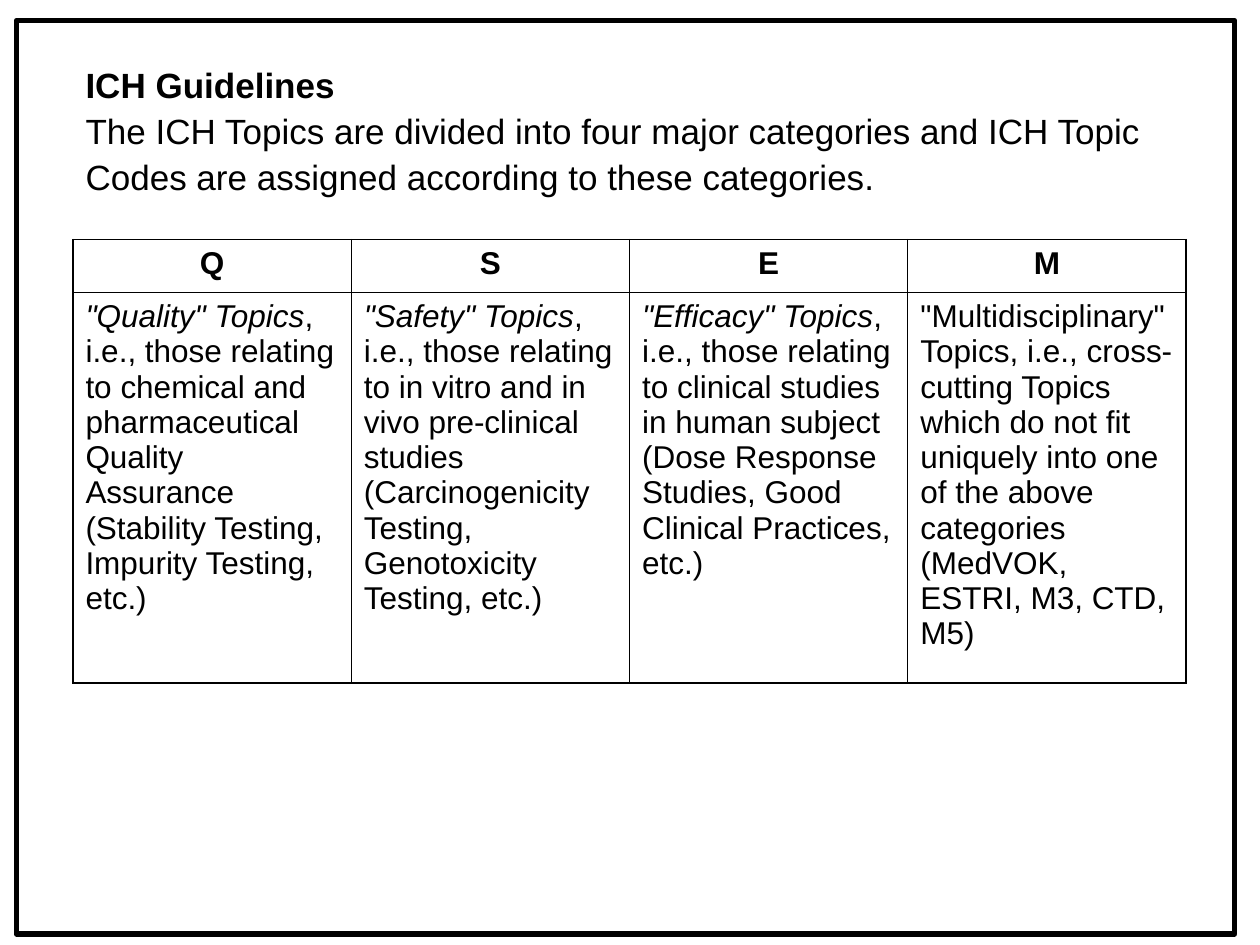
"""Build the ICH Guidelines slide with its table of topic categories."""
from dataclasses import dataclass

import pptx
import pptx.dml.color
import pptx.enum.shapes
import pptx.enum.text
import pptx.oxml
import pptx.oxml.ns
import pptx.util

Cm = pptx.util.Cm
Pt = pptx.util.Pt
ALIGN = pptx.enum.text.PP_ALIGN

BLACK = pptx.dml.color.RGBColor(0x00, 0x00, 0x00)
OUTER, INNER = Pt(1.08), Pt(0.45)
HEADING = {"name": "Arial", "size": Pt(20), "bold": True, "italic": False}
INTRO = HEADING | {"bold": False}
CODE = HEADING | {"size": Pt(18)}
TOPIC = CODE | {"bold": False}
LEAD = TOPIC | {"italic": True}


@dataclass
class Category:
    code: str
    lead: str
    text: str


CATEGORIES = [
    Category("Q", '"Quality" Topics',
             ", i.e., those relating to chemical and pharmaceutical Quality "
             "Assurance (Stability Testing, Impurity Testing, etc.)"),
    Category("S", '"Safety" Topics',
             ", i.e., those relating to in vitro and in vivo pre-clinical "
             "studies (Carcinogenicity Testing, Genotoxicity Testing, etc.)"),
    Category("E", '"Efficacy" Topics',
             ", i.e., those relating to clinical studies in human subject "
             "(Dose Response Studies, Good Clinical Practices, etc.)"),
    Category("M", "",
             '"Multidisciplinary" Topics, i.e., cross-cutting Topics which do '
             "not fit uniquely into one of the above categories "
             "(MedVOK, ESTRI, M3, CTD, M5)"),
]


def set_attrs(obj, values: dict) -> None:
    for name, value in values.items():
        setattr(obj, name, value)


def add_run(p, text: str, font: dict) -> None:
    r = p.add_run()
    r.text = text
    set_attrs(r.font, font)
    r.font.color.rgb = BLACK


def add_frame(s) -> None:
    sp = s.shapes.add_shape(pptx.enum.shapes.MSO_SHAPE.RECTANGLE,
                            Cm(0.33), Cm(0.41), Cm(24.56), Cm(18.42))
    sp.shadow.inherit = False
    sp.fill.background()
    sp.line.color.rgb = BLACK
    sp.line.width = Pt(3)


def fill_title(s) -> None:
    sp = s.shapes.title
    set_attrs(sp, {"left": Cm(1.47), "top": Cm(1.07),
                   "width": Cm(22.22), "height": Cm(3.05)})
    tf = sp.text_frame
    set_attrs(tf, {"word_wrap": True,
                   "auto_size": pptx.enum.text.MSO_AUTO_SIZE.NONE,
                   "vertical_anchor": pptx.enum.text.MSO_ANCHOR.TOP})
    lines = [("ICH Guidelines", HEADING),
             ("The ICH Topics are divided into four major categories and ICH "
              "Topic Codes are assigned according to these categories.", INTRO)]
    for i, (text, font) in enumerate(lines):
        p = tf.add_paragraph() if i else tf.paragraphs[0]
        set_attrs(p, {"alignment": ALIGN.LEFT, "line_spacing": 1.1})
        add_run(p, text, font)


def format_cell(cell, widths: dict) -> None:
    tcPr = cell._tc.get_or_add_tcPr()
    for side, width in widths.items():
        tcPr.append(pptx.oxml.parse_xml(
            f'<a:ln{side} {pptx.oxml.ns.nsdecls("a")} w="{width}"><a:solidFill>'
            f'<a:srgbClr val="{BLACK}"/></a:solidFill></a:ln{side}>'))
    cell.fill.background()


def add_categories(s, categories: list[Category]) -> None:
    count = len(categories)
    heights = [Cm(1.07), Cm(7.87)]
    table = s.shapes.add_table(2, count, Cm(1.47), Cm(4.83),
                               Cm(5.61) * count, sum(heights)).table
    set_attrs(table, {"first_row": False, "horz_banding": False})
    for row, height in zip(table.rows, heights):
        row.height = height
    for col, category in enumerate(categories):
        head, body = table.cell(0, col), table.cell(1, col)
        sides = {"L": INNER if col else OUTER,
                 "R": INNER if col < count - 1 else OUTER}
        format_cell(head, sides | {"T": OUTER, "B": INNER})
        format_cell(body, sides | {"T": INNER, "B": OUTER})
        p = head.text_frame.paragraphs[0]
        p.alignment = ALIGN.CENTER
        add_run(p, category.code, CODE)
        p = body.text_frame.paragraphs[0]
        if category.lead:
            add_run(p, category.lead, LEAD)
        add_run(p, category.text, TOPIC)


def main() -> None:
    prs = pptx.Presentation()
    set_attrs(prs, {"slide_width": Cm(25.4), "slide_height": Cm(19.05)})
    s = prs.slides.add_slide(prs.slide_layouts[5])
    add_frame(s)
    fill_title(s)
    add_categories(s, CATEGORIES)
    prs.save("out.pptx")


if __name__ == "__main__":
    main()
